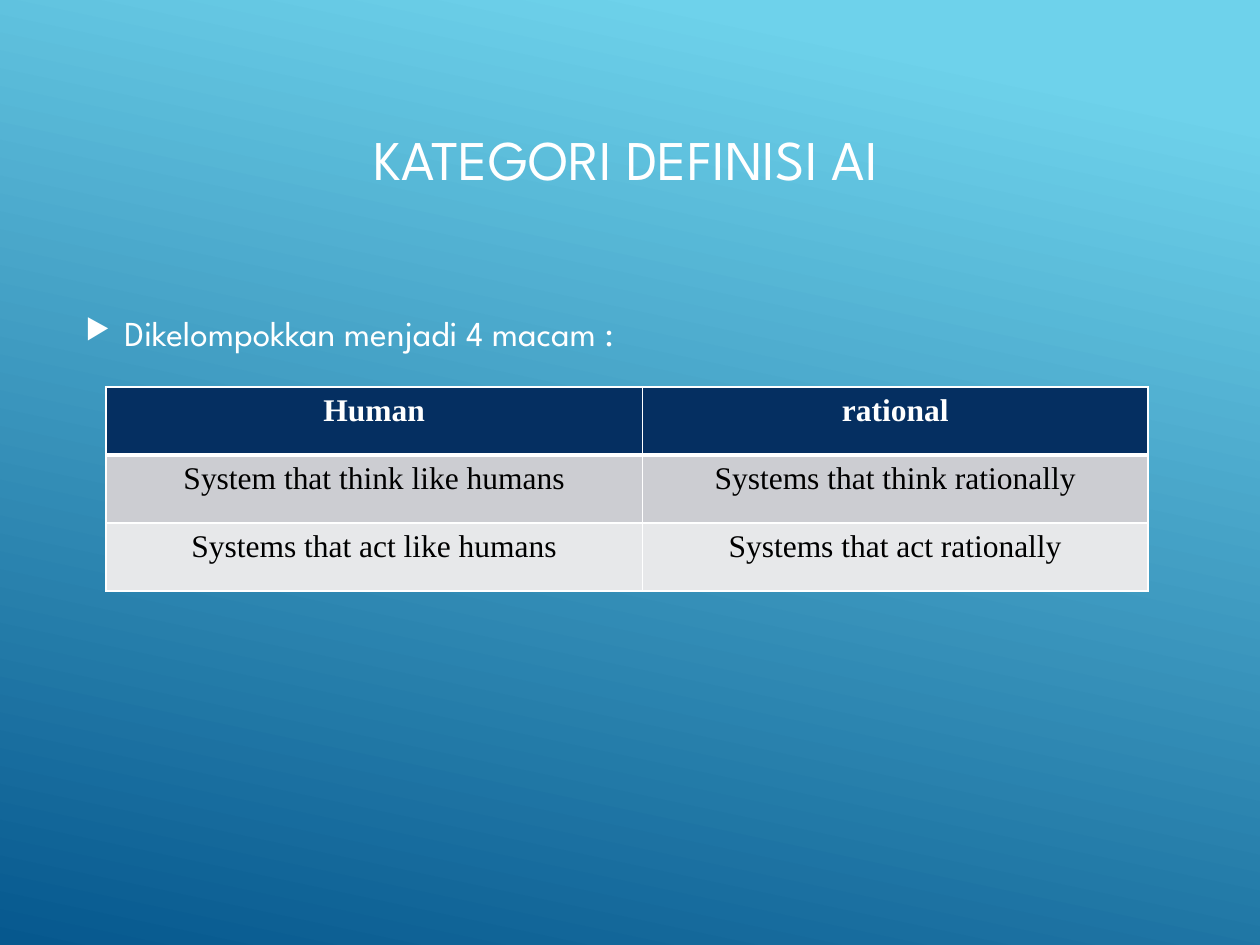
from lxml.etree import SubElement
from pptx import Presentation
from pptx.dml.color import RGBColor
from pptx.enum.text import MSO_ANCHOR, PP_ALIGN
from pptx.oxml.ns import qn
from pptx.util import Inches, Pt


def paint(color, code):
    """Set a color object from a hex string."""
    color.rgb = RGBColor.from_string(code)


def write(frame, text, size, face, code, align):
    """Put one styled paragraph in a text frame and return it."""
    frame.word_wrap = True
    para = frame.paragraphs[0]
    para.text = text
    para.alignment = align
    para.font.size = Pt(size)
    para.font.name = face
    paint(para.font.color, code)
    return para


deck = Presentation()
deck.slide_width, deck.slide_height = Inches(10), Inches(7.5)
slide = deck.slides.add_slide(deck.slide_layouts[6])

# Background
back = slide.background.fill
back.gradient()
back.gradient_angle = 360 - 102
for stop, (place, code) in zip(back.gradient_stops, [(0.1, "6ED2EB"), (1, "06588E")]):
    stop.position = place
    paint(stop.color, code)

# Title and bullet line
title = slide.shapes.add_textbox(Inches(0.61), Inches(0.42), Inches(8.72), Inches(1.67))
title.text_frame.vertical_anchor = MSO_ANCHOR.MIDDLE
write(title.text_frame, "KATEGORI DEFINISI AI", 32, "League Spartan", "FFFFFF", PP_ALIGN.CENTER)

body = slide.shapes.add_textbox(Inches(0.58), Inches(0.58), Inches(7.17), Inches(4.12))
body.text_frame.vertical_anchor = MSO_ANCHOR.MIDDLE
point = write(body.text_frame, "Dikelompokkan menjadi 4 macam :", 20, "League Spartan",
              "FFFFFF", PP_ALIGN.LEFT)
point.space_before, point.space_after = Pt(4), Pt(6)
props = point._p.get_or_add_pPr()
props.set("marL", str(Inches(0.31)))
props.set("indent", str(-Inches(0.31)))
SubElement(SubElement(props, qn("a:buClr")), qn("a:srgbClr"), val="FFFFFF")
SubElement(props, qn("a:buSzPct"), val="80000")
SubElement(props, qn("a:buChar"), char="▶")

# Table
rows = [
    ("Human", "rational"),
    ("System that think like humans", "Systems that think rationally"),
    ("Systems that act like humans", "Systems that act rationally"),
]
fills = ["052F61", "CCCDD2", "E7E8EA"]
grid = slide.shapes.add_table(3, 2, Inches(0.84), Inches(3.07), Inches(8.27), Inches(1.62)).table
for col, width in zip(grid.columns, [4.26, 4.01]):
    col.width = Inches(width)
for r, row in enumerate(rows):
    grid.rows[r].height = Inches(0.54)
    head = r == 0
    for c, text in enumerate(row):
        cell = grid.cell(r, c)
        para = write(cell.text_frame, text, 18, "Times New Roman",
                     "FFFFFF" if head else "000000", PP_ALIGN.CENTER)
        para.font.bold = head
        tcpr = cell._tc.get_or_add_tcPr()
        for side in "LRTB":
            thick = (r, side) in [(0, "B"), (1, "T")]
            line = SubElement(tcpr, qn("a:ln" + side), w=str(Pt(3 if thick else 1)))
            SubElement(SubElement(line, qn("a:solidFill")), qn("a:srgbClr"), val="FFFFFF")
        cell.fill.solid()
        paint(cell.fill.fore_color, fills[r])

deck.save("out.pptx")
